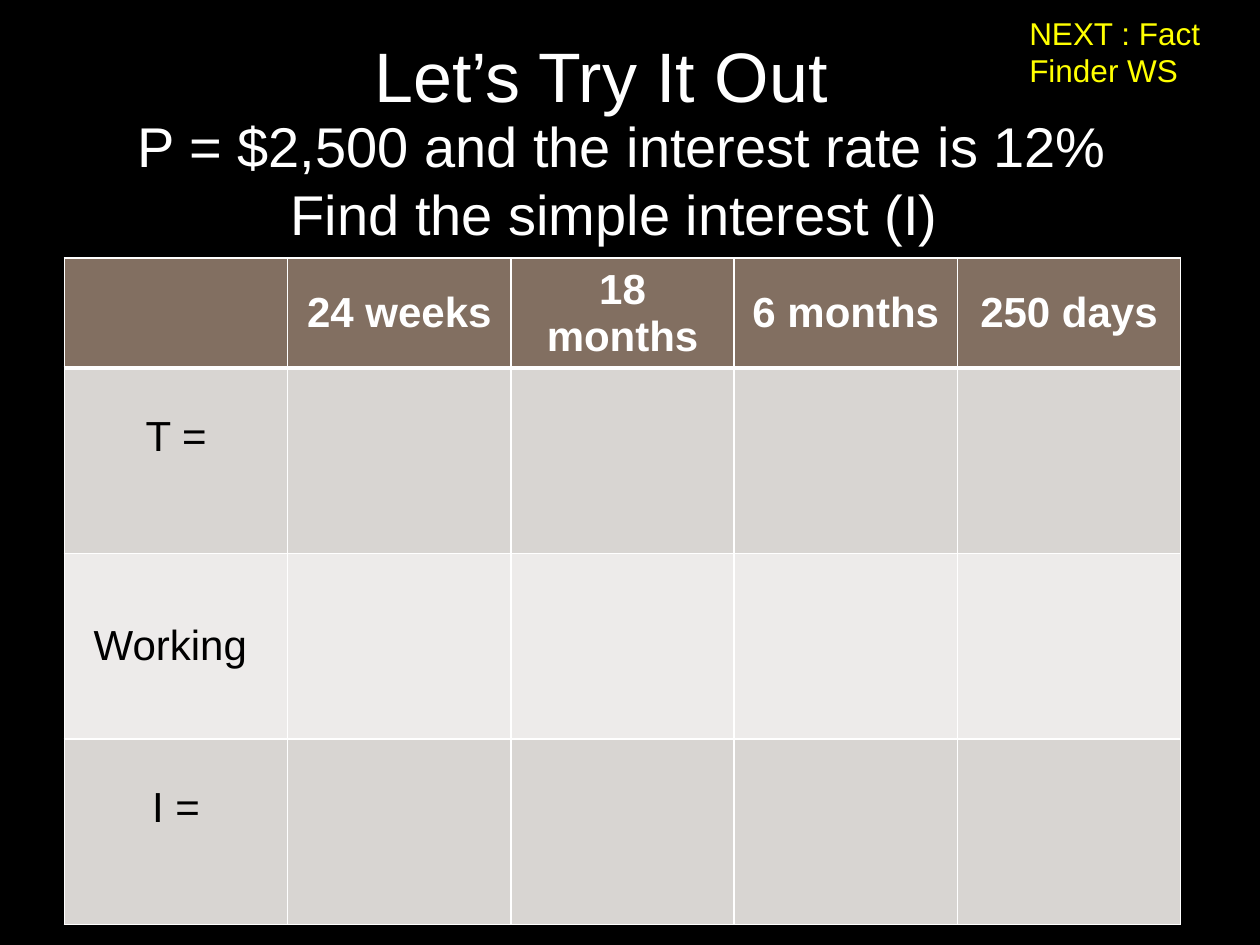
"""Builds a simple interest practice slide with a working table."""
from dataclasses import dataclass

from lxml.etree import SubElement
from pptx import Presentation
from pptx.dml.color import RGBColor
from pptx.enum.text import MSO_ANCHOR, MSO_AUTO_SIZE, PP_ALIGN
from pptx.oxml.ns import qn
from pptx.util import Cm, Pt

TITLE = "Let’s Try It Out"
TASK = ["P = $2,500 and the interest rate is 12%", "Find the simple interest (I) "]
NEXT_STEP = "NEXT : Fact Finder WS"
PERIODS = ["", "24 weeks", "18 months", "6 months", "250 days"]
ROW_LABELS = ["T =", "Working ", "I ="]
RAISED_LABELS = {"T =", "I ="}

TITLE_AREA = (7.29, 0.53, 11.99, 1.96)
TASK_AREA = (-0.3, 2.13, 25.7, 3)
NEXT_AREA = (20.5, 0.15, 5.41, 1.8)
TABLE_LEFT, TABLE_TOP = 1.3, 5.2
COLUMN_WIDTH, HEADER_HEIGHT, ROW_HEIGHT = 4.5, 2.22, 3.74


@dataclass(frozen=True)
class Theme:
    font: str = "Arial"
    background: str = "000000"
    light: str = "FFFFFF"
    dark: str = "000000"
    accent: str = "FFFF00"
    header: str = "826F61"
    bands: tuple = ("D8D5D2", "EDEBEA")
    title_size: int = 40
    task_size: int = 32
    table_size: int = 24
    note_size: int = 18


THEME = Theme()


def style_paragraph(paragraph, size, color, align=PP_ALIGN.LEFT, bold=False):
    paragraph.alignment = align
    paragraph.space_before = Pt(0)
    font = paragraph.font
    font.name, font.size, font.bold = THEME.font, Pt(size), bold
    font.color.rgb = RGBColor.from_string(color)


def fill_box(box, area, lines, size, color, align=PP_ALIGN.LEFT):
    box.left, box.top, box.width, box.height = map(Cm, area)
    frame = box.text_frame
    frame.word_wrap = True
    frame.auto_size = MSO_AUTO_SIZE.NONE
    frame.vertical_anchor = MSO_ANCHOR.TOP
    frame.text = "\n".join(lines)
    for paragraph in frame.paragraphs:
        properties = paragraph._p.get_or_add_pPr()
        properties.set("marL", "0")
        properties.set("indent", "0")
        SubElement(properties, qn("a:buNone"))
        style_paragraph(paragraph, size, color, align)


def add_borders(cell, bottom):
    properties = cell._tc.get_or_add_tcPr()
    for side, width in (("L", 1), ("R", 1), ("T", 1), ("B", bottom)):
        line = SubElement(properties, qn(f"a:ln{side}"), w=str(Pt(width)))
        solid = SubElement(line, qn("a:solidFill"))
        SubElement(solid, qn("a:srgbClr"), val=THEME.light)


def add_working_table(page):
    rows = [PERIODS] + [[label] + [""] * (len(PERIODS) - 1) for label in ROW_LABELS]
    heights = [HEADER_HEIGHT] + [ROW_HEIGHT] * len(ROW_LABELS)
    table = page.shapes.add_table(
        len(rows), len(PERIODS), Cm(TABLE_LEFT), Cm(TABLE_TOP),
        Cm(COLUMN_WIDTH * len(PERIODS)), Cm(sum(heights))).table
    table.horz_banding = False
    for column in table.columns:
        column.width = Cm(COLUMN_WIDTH)
    for index, (texts, height) in enumerate(zip(rows, heights)):
        is_header = index == 0
        table.rows[index].height = Cm(height)
        fill = THEME.header if is_header else THEME.bands[(index - 1) % 2]
        for cell, text in zip(table.rows[index].cells, texts):
            add_borders(cell, 3 if is_header else 1)
            cell.fill.solid()
            cell.fill.fore_color.rgb = RGBColor.from_string(fill)
            cell.vertical_anchor = MSO_ANCHOR.MIDDLE
            if text in RAISED_LABELS:
                cell.margin_bottom = Cm(1.1)
            cell.text = text
            style_paragraph(cell.text_frame.paragraphs[0], THEME.table_size,
                            THEME.light if is_header else THEME.dark,
                            PP_ALIGN.CENTER, is_header)


def main():
    deck = Presentation()
    deck.slide_width, deck.slide_height = Cm(25.4), Cm(19.05)
    page = deck.slides.add_slide(deck.slide_layouts[1])
    page.background.fill.solid()
    page.background.fill.fore_color.rgb = RGBColor.from_string(THEME.background)
    fill_box(page.shapes.title, TITLE_AREA, [TITLE], THEME.title_size, THEME.light)
    fill_box(page.placeholders[1], TASK_AREA, TASK, THEME.task_size,
             THEME.light, PP_ALIGN.CENTER)
    add_working_table(page)
    note = page.shapes.add_textbox(*map(Cm, NEXT_AREA))
    fill_box(note, NEXT_AREA, [NEXT_STEP], THEME.note_size, THEME.accent)
    deck.save("out.pptx")


if __name__ == "__main__":
    main()
